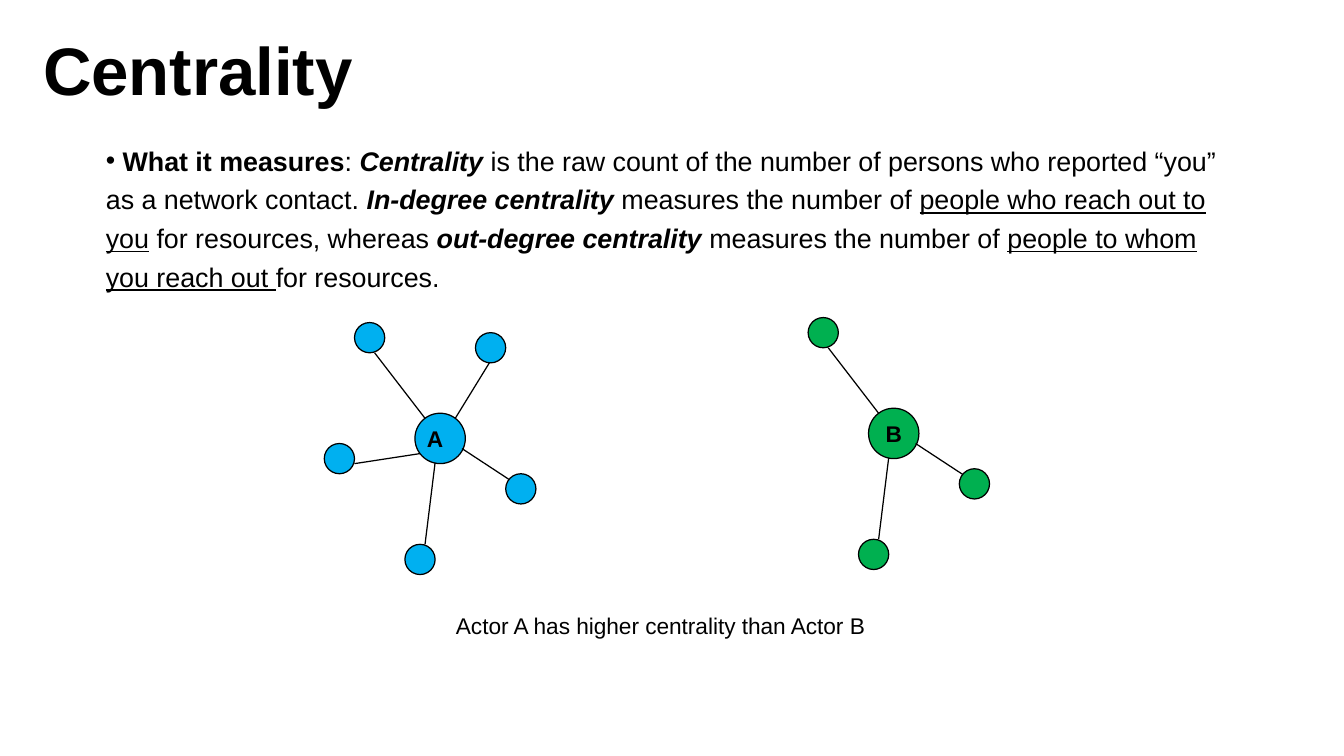
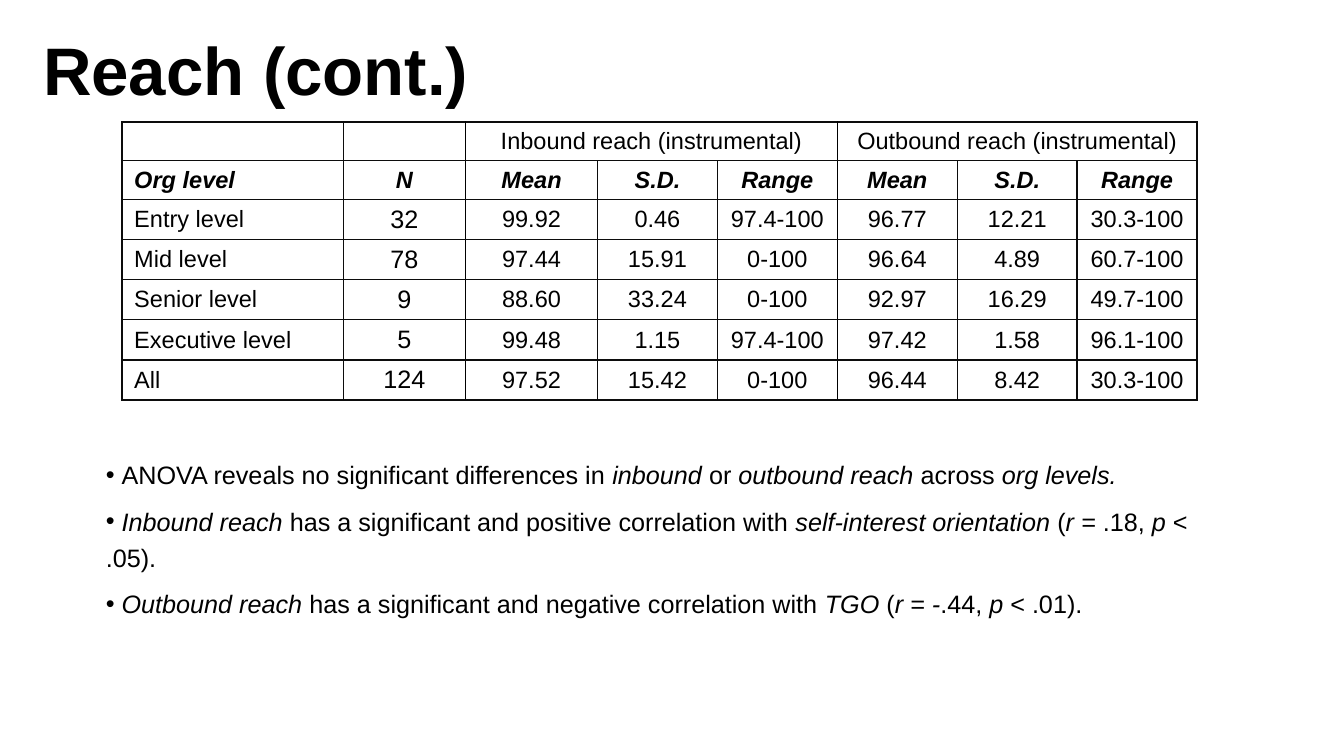
from dataclasses import dataclass

from lxml import etree
from pptx import Presentation
from pptx.dml.color import RGBColor
from pptx.enum.shapes import MSO_CONNECTOR, MSO_SHAPE
from pptx.enum.text import MSO_ANCHOR, PP_ALIGN
from pptx.oxml.ns import qn
from pptx.util import Pt

LINE = MSO_CONNECTOR.STRAIGHT
OVAL = MSO_SHAPE.OVAL
MIDDLE = MSO_ANCHOR.MIDDLE
LEFT = PP_ALIGN.LEFT
CENTER = PP_ALIGN.CENTER


@dataclass(frozen=True)
class Theme:
    font: str = "Arial"
    ink: str = "000000"
    rule: str = "0C0C0C"
    blue: str = "00B0F0"
    green: str = "00B050"
    title: float = 40
    body: float = 16
    notes: float = 15
    count: float = 15
    cell: float = 14
    label: float = 13.5
    thin: float = 0.5
    stroke: float = 0.75
    thick: float = 1


THEME = Theme()
STYLES = {"b": "bold", "i": "italic", "u": "underline"}
FLUSH = {f"margin_{side}": 0 for side in ("left", "top", "right", "bottom")}

DEGREE = [[
    (" ", ""), ("What it measures", "b"), (": ", ""), ("Centrality", "bi"),
    (" is the raw count of the number of persons who reported “you” as a network contact. ", ""),
    ("In-degree centrality ", "bi"), ("measures the number of ", ""),
    ("people who reach out to you", "u"), (" for resources, whereas ", ""),
    ("out-degree centrality ", "bi"), ("measures the number of ", ""),
    ("people to whom you reach out ", "u"), ("for resources.", ""),
]]

FINDINGS = [
    [(" ", "b"), ("ANOVA reveals no significant differences in ", ""), ("inbound", "i"),
     (" or ", ""), ("outbound reach ", "i"), ("across ", ""), ("org levels.", "i")],
    [(" ", ""), ("Inbound reach ", "i"),
     ("has a significant and positive correlation with ", ""),
     ("self-interest orientation ", "i"), ("(", ""), ("r = ", "i"),
     (".18, ", ""), ("p ", "i"), ("< .05).", "")],
    [(" ", ""), ("Outbound reach ", "i"),
     ("has a significant and negative correlation with ", ""), ("TGO", "i"),
     (" (", ""), ("r = -", "i"), (".44, ", ""), ("p ", "i"), ("< .01).", "")],
]

SPOKES = {
    "up left": ((-9, -12), (-39, -51), (-42, -60)),
    "up right": ((9, -12), (33, -51), (30, -54)),
    "right": ((13, 6), (45, 27), (48, 30)),
    "down": ((-3, 14.5), (-9, 63), (-12, 72)),
    "left": ((-12, 9), (-51, 15), (-60, 12)),
}

WIDTHS = [131.6, 72.9, 78.5] + [71.4] * 5
HEIGHTS = [23] * 2 + [23.9] * 5
SPANS = {2: 4, 5: 7}
ROWS = [
    ["", "", "Inbound reach (instrumental)", "", "", "Outbound reach (instrumental)", "", ""],
    ["Org level", "N"] + ["Mean", "S.D.", "Range"] * 2,
    ["Entry level", "32", "99.92", "0.46", "97.4-100", "96.77", "12.21", "30.3-100"],
    ["Mid level", "78", "97.44", "15.91", "0-100", "96.64", "4.89", "60.7-100"],
    ["Senior level", "9", "88.60", "33.24", "0-100", "92.97", "16.29", "49.7-100"],
    ["Executive level", "5", "99.48", "1.15", "97.4-100", "97.42", "1.58", "96.1-100"],
    ["All", "124", "97.52", "15.42", "0-100", "96.44", "8.42", "30.3-100"],
]


def apply(thing, values):
    for name, value in values.items():
        setattr(thing, name, value)


def color(code):
    return RGBColor.from_string(code)


def write(para, runs, size):
    for text, marks in runs:
        run = para.add_run()
        run.text = text
        apply(run.font, {"name": THEME.font, "size": Pt(size)})
        apply(run.font, {STYLES[mark]: True for mark in marks})
        run.font.color.rgb = color(THEME.ink)


def add_dot(para, size):
    props = para._p.get_or_add_pPr()
    para.line_spacing = 1.2
    apply(props, {"marL": 0, "indent": 0})
    etree.SubElement(props, qn("a:buFont")).set("typeface", THEME.font)
    etree.SubElement(props, qn("a:buChar")).set("char", "•")
    apply(para.font, {"name": THEME.font, "size": Pt(size)})


def add_text(slide, place, paras, size, align=LEFT, dots=False):
    frame = slide.shapes.add_textbox(*map(Pt, place)).text_frame
    apply(frame, {"word_wrap": True, **FLUSH})
    for index, runs in enumerate(paras):
        para = frame.add_paragraph() if index else frame.paragraphs[0]
        para.alignment = align
        if index:
            para.space_before = Pt(6)
        if dots:
            add_dot(para, size)
        write(para, runs, size)


def add_slide(deck, title):
    slide = deck.slides.add_slide(deck.slide_layouts[6])
    add_text(slide, (25.6, 17, 743, 60), [[(title, "b")]], THEME.title)
    return slide


def add_node(shapes, x, y, radius, fill):
    side = Pt(2 * radius)
    node = shapes.add_shape(OVAL, Pt(x - radius), Pt(y - radius), side, side)
    node.shadow.inherit = False
    node.fill.solid()
    node.fill.fore_color.rgb = color(fill)
    node.line.color.rgb = color(THEME.ink)
    node.line.width = Pt(THEME.stroke)
    return node


def add_link(shapes, start, end):
    link = shapes.add_connector(LINE, *map(Pt, start + end))
    link.line.color.rgb = color(THEME.ink)
    link.line.width = Pt(THEME.stroke)
    etree.SubElement(link._element.spPr, qn("a:effectLst"))


def add_network(slide, name, hub, fill, names, inset=0):
    def shift(point):
        return hub[0] + point[0], hub[1] + point[1]

    shapes = slide.shapes.add_group_shape().shapes
    frame = add_node(shapes, *hub, 15, fill).text_frame
    apply(frame, {**FLUSH, "margin_right": Pt(inset), "vertical_anchor": MIDDLE})
    frame.paragraphs[0].alignment = CENTER
    write(frame.paragraphs[0], [(name, "b")], THEME.label)
    spokes = [SPOKES[key] for key in names]
    for start, end, _ in spokes:
        add_link(shapes, shift(start), shift(end))
    for _, _, spot in spokes:
        add_node(shapes, *shift(spot), 9, fill)


def add_edge(cell, side, width, code):
    edge = etree.SubElement(cell._tc.get_or_add_tcPr(), qn(f"a:{side}"))
    edge.set("w", str(Pt(width)))
    fill = etree.SubElement(edge, qn("a:solidFill"))
    etree.SubElement(fill, qn("a:srgbClr")).set("val", code)


def frame_cell(cell, row, col):
    def level(index):
        return THEME.thick if index in (0, len(ROWS) - 1, len(ROWS)) else THEME.thin

    def shade(index):
        return THEME.ink if index in SPANS else THEME.rule

    add_edge(cell, "lnL", THEME.thick, shade(col))
    add_edge(cell, "lnR", THEME.thick, shade(col + 1))
    add_edge(cell, "lnT", level(row), THEME.rule)
    add_edge(cell, "lnB", level(row + 1), THEME.rule)
    cell.fill.background()


def add_grid(slide, left, top):
    place = map(Pt, (left, top, sum(WIDTHS), sum(HEIGHTS)))
    grid = slide.shapes.add_table(len(ROWS), len(WIDTHS), *place).table
    apply(grid, {"first_row": False, "horz_banding": False})
    for column, width in zip(grid.columns, WIDTHS):
        column.width = Pt(width)
    for line, height in zip(grid.rows, HEIGHTS):
        line.height = Pt(height)
    for first, last in SPANS.items():
        grid.cell(0, first).merge(grid.cell(0, last))
    for row, texts in enumerate(ROWS):
        for col, text in enumerate(texts):
            cell = grid.cell(row, col)
            apply(cell, {**FLUSH, "vertical_anchor": MIDDLE})
            cell.margin_left = Pt(0 if col else 7.2)
            frame_cell(cell, row, col)
            if text:
                para = cell.text_frame.paragraphs[0]
                para.alignment = CENTER if col else LEFT
                size = THEME.count if col == 1 and row > 1 else THEME.cell
                write(para, [(text, "bi" if row == 1 else "")], size)


def main():
    deck = Presentation()
    apply(deck, {"slide_width": Pt(800), "slide_height": Pt(450)})

    slide = add_slide(deck, "Centrality")
    add_text(slide, (63, 82, 669, 95), DEGREE, THEME.body, dots=True)
    add_network(slide, "B", (532, 258), THEME.green, ("up left", "right", "down"))
    add_network(slide, "A", (262, 261), THEME.blue, SPOKES, inset=6)
    caption = [[("Actor A has higher centrality than Actor B", "")]]
    add_text(slide, (216.2, 364.5, 354, 20), caption, THEME.label, CENTER)

    slide = add_slide(deck, "Reach (cont.)")
    add_text(slide, (63, 270, 669, 108), FINDINGS, THEME.notes, dots=True)
    add_grid(slide, 72.7, 72.7)

    deck.save("out.pptx")


if __name__ == "__main__":
    main()
